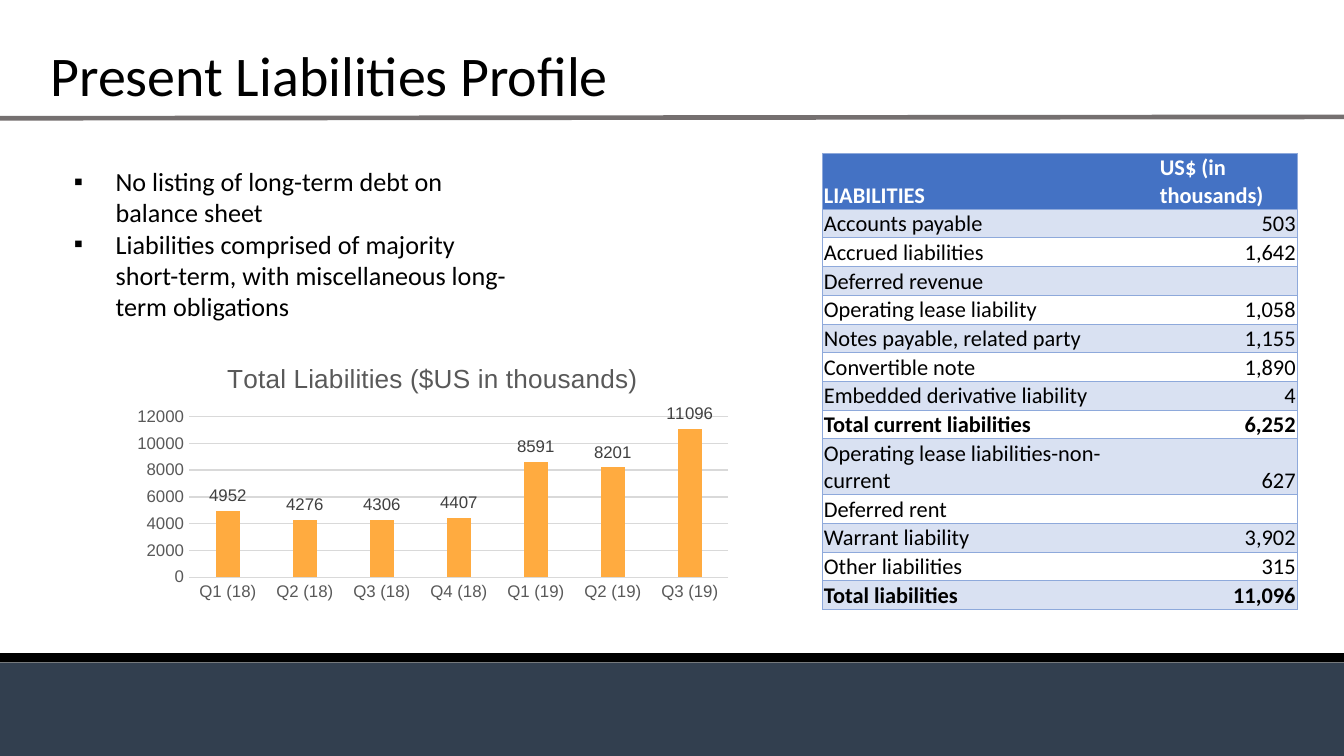
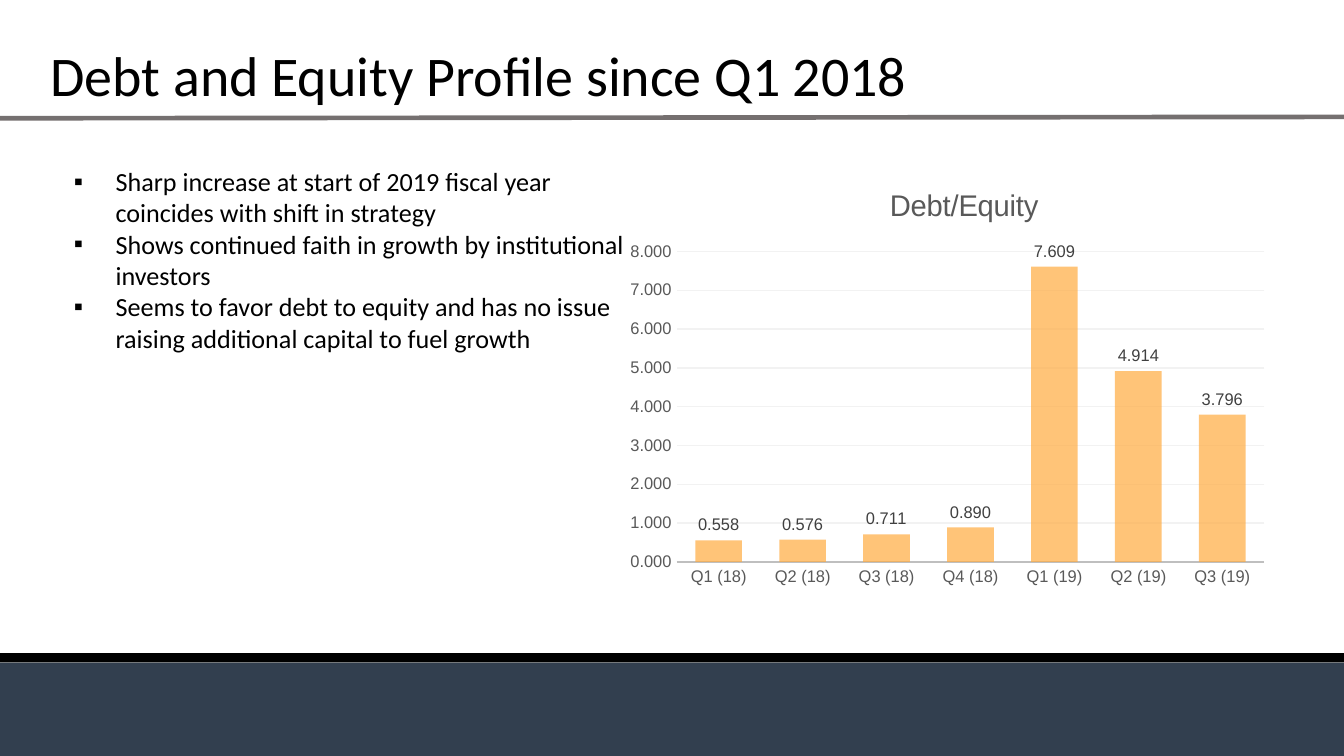
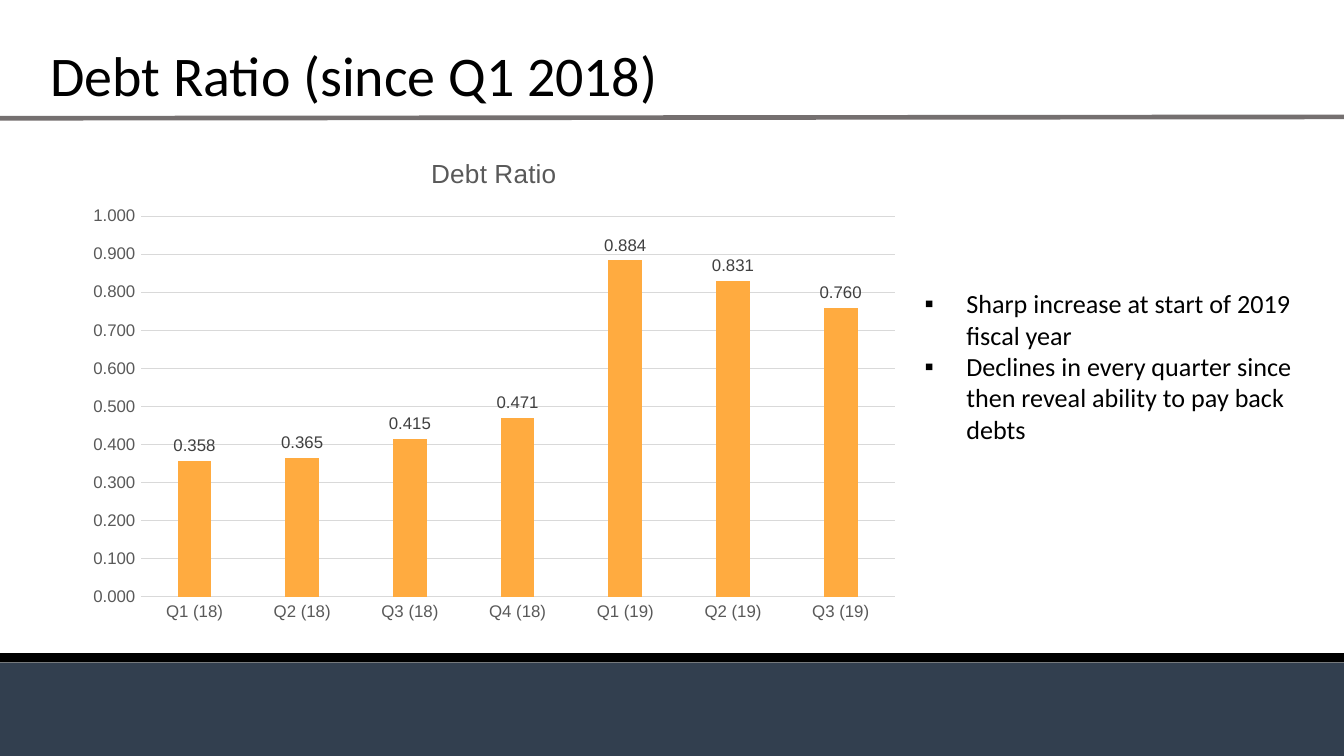
"""Build three slides on liabilities, debt to equity and debt ratio."""
from dataclasses import dataclass

from lxml.etree import SubElement
from pptx import Presentation
from pptx.chart.data import CategoryChartData
from pptx.dml.color import RGBColor
from pptx.enum.chart import XL_CHART_TYPE, XL_LABEL_POSITION, XL_TICK_MARK
from pptx.enum.shapes import MSO_CONNECTOR, MSO_SHAPE
from pptx.enum.text import MSO_ANCHOR, MSO_AUTO_SIZE, PP_ALIGN
from pptx.oxml.ns import qn
from pptx.util import Inches, Pt

COLUMN_CHART = XL_CHART_TYPE.COLUMN_CLUSTERED
OUTSIDE_END = XL_LABEL_POSITION.OUTSIDE_END
NO_TICK = XL_TICK_MARK.NONE
STRAIGHT = MSO_CONNECTOR.STRAIGHT
RECTANGLE = MSO_SHAPE.RECTANGLE
TOP, BOTTOM = MSO_ANCHOR.TOP, MSO_ANCHOR.BOTTOM
NO_FIT = MSO_AUTO_SIZE.NONE
LEFT, RIGHT = PP_ALIGN.LEFT, PP_ALIGN.RIGHT


@dataclass(frozen=True)
class Theme:
    text_font: str = "Calibri"
    chart_font: str = "Arial"
    ink: str = "000000"
    white: str = "FFFFFF"
    footer: str = "323F4F"
    rule: str = "757070"
    bar: str = "FFAB40"
    axis_text: str = "595959"
    label_text: str = "404040"
    table_head: str = "4472C4"
    table_band: str = "D9E1F2"
    table_border: str = "8EA9DB"
    title_size: float = 30
    list_size: float = 14
    table_size: float = 12
    axis_size: float = 9


THEME = Theme()
COLUMNS = 100
SLIDE_WIDTH, SLIDE_HEIGHT = Inches(10), Inches(5.625)
UNIT = SLIDE_WIDTH / COLUMNS


def grid(*cells):
    """Turn counts of grid cells into lengths."""
    return [round(cell * UNIT) for cell in cells]


def style(font, name, size, color, bold=False):
    """Set the face, size, colour and weight of a font."""
    font.name, font.size, font.bold = name, Pt(size), bold
    font.color.rgb = RGBColor.from_string(color)


QUARTERS = [f"Q{quarter} ({year})" for year, last in ((18, 4), (19, 3))
            for quarter in range(1, last + 1)]
BANDS = [((0, 49.3, 100, 6.95), THEME.footer), ((0, 48.6, 100, 0.7), THEME.ink)]
SLIDES = [
    dict(title="Present Liabilities Profile",
         points=["No listing of long-term debt on balance sheet",
                 "Liabilities comprised of majority short-term, with miscellaneous "
                 "long-term obligations"],
         points_at=(4.5, 11.8, 34.3, 12.8),
         chart_title="Total Liabilities ($US in thousands)", series="Series 1",
         values=[4952, 4276, 4306, 4407, 8591, 8201, 11096],
         chart_at=(9.3, 25.6, 45.8, 19.6), title_size=14, number_format="General",
         top=12000, step=2000, gap=219, overlap=-27, opacity=100,
         axis_line="D9D9D9", axis_width=0.75, grid_line="D9D9D9", plot=None),
    dict(title="Debt and Equity Profile since Q1 2018",
         points=["Sharp increase at start of 2019 fiscal year coincides with shift in strategy",
                 "Shows continued faith in growth by institutional investors",
                 "Seems to favor debt to equity and has no issue raising additional "
                 "capital to fuel growth"],
         points_at=(4.5, 11.8, 43.1, 24.6),
         chart_title="Debt/Equity", series="Debt/Equity",
         values=[0.558, 0.576, 0.711, 0.89, 7.609, 4.914, 3.796],
         chart_at=(46.9, 12.3, 48.6, 32.1), title_size=16, number_format="0.000",
         top=8, step=1, gap=80, overlap=25, opacity=70,
         axis_line="BFBFBF", axis_width=1.25, grid_line="F2F2F2",
         plot=dict(x=0.05, y=0.2, w=0.92, h=0.72)),
    dict(title="Debt Ratio (since Q1 2018)",
         points=["Sharp increase at start of 2019 fiscal year",
                 "Declines in every quarter since then reveal ability to pay back debts"],
         points_at=(67.8, 20.9, 33, 12.8),
         chart_title="Debt Ratio", series="Debt Ratio",
         values=[0.358, 0.365, 0.415, 0.471, 0.884, 0.831, 0.76],
         chart_at=(5.7, 10, 62.1, 37), title_size=14, number_format="0.000",
         top=1, step=0.1, gap=219, overlap=-27, opacity=100,
         axis_line="D9D9D9", axis_width=0.75, grid_line="D9D9D9", plot=None),
]
LIABILITIES = [
    ("LIABILITIES", "US$ (in thousands)"),
    ("Accounts payable", "503"),
    ("Accrued liabilities", "1,642"),
    ("Deferred revenue", ""),
    ("Operating lease liability", "1,058"),
    ("Notes payable, related party", "1,155"),
    ("Convertible note", "1,890"),
    ("Embedded derivative liability", "4"),
    ("Total current liabilities", "6,252"),
    ("Operating lease liabilities-non-current", "627"),
    ("Deferred rent", ""),
    ("Warrant liability", "3,902"),
    ("Other liabilities", "315"),
    ("Total liabilities", "11,096"),
]
TWO_LINE_ROWS = (0, 9)

deck = Presentation()
deck.slide_width, deck.slide_height = SLIDE_WIDTH, SLIDE_HEIGHT

for content in SLIDES:
    slide = deck.slides.add_slide(deck.slide_layouts[1])
    for place, color in BANDS:
        band = slide.shapes.add_shape(RECTANGLE, *grid(*place))
        band.shadow.inherit = False
        band.fill.solid()
        band.fill.fore_color.rgb = RGBColor.from_string(color)
        band.line.fill.background()

    heading = slide.shapes.title
    heading.left, heading.top, heading.width, heading.height = grid(3, 0, 97, 8.5)
    frame = heading.text_frame
    frame.text = content["title"]
    frame.auto_size, frame.vertical_anchor = NO_FIT, BOTTOM
    frame.margin_left, frame.margin_top, frame.margin_right, frame.margin_bottom = grid(
        0.75, 0.38, 0.75, 0.38)
    line = frame.paragraphs[0]
    line.alignment, line.line_spacing = LEFT, 0.9
    style(line.font, THEME.text_font, THEME.title_size, THEME.ink)

    rule = slide.shapes.add_connector(STRAIGHT, *grid(0, 8.8, 100, 8.7))
    rule.line.color.rgb = RGBColor.from_string(THEME.rule)
    rule.line.width = Pt(2.5)
    SubElement(rule._element.spPr, qn("a:effectLst"))

    findings = slide.placeholders[1]
    findings.left, findings.top, findings.width, findings.height = grid(*content["points_at"])
    frame = findings.text_frame
    frame.text = "\n".join(content["points"])
    frame.auto_size, frame.vertical_anchor = NO_FIT, TOP
    for point in frame.paragraphs:
        point.alignment, point.space_before = LEFT, Pt(0)
        properties = point._p.get_or_add_pPr()
        indent = Inches(0.31)
        properties.set("marL", str(indent))
        properties.set("indent", str(-indent))
        bullet_color = SubElement(properties, qn("a:buClr"))
        SubElement(bullet_color, qn("a:srgbClr"), val=THEME.ink)
        SubElement(properties, qn("a:buFont"), typeface=THEME.chart_font)
        SubElement(properties, qn("a:buChar"), char="▪")
        style(point.font, THEME.text_font, THEME.list_size, THEME.ink)

    data = CategoryChartData(number_format=content["number_format"])
    data.categories = QUARTERS
    data.add_series(content["series"], content["values"])
    chart = slide.shapes.add_chart(COLUMN_CHART, *grid(*content["chart_at"]), data).chart
    style(chart.font, THEME.chart_font, 10, THEME.ink)
    chart.has_legend = False
    chart.has_title = True
    chart.chart_title.include_in_layout = False
    caption = chart.chart_title.text_frame
    caption.text = content["chart_title"]
    style(caption.paragraphs[0].font, THEME.chart_font, content["title_size"], THEME.axis_text)

    quarters, amounts = chart.category_axis, chart.value_axis
    for axis in (quarters, amounts):
        axis.major_tick_mark = axis.minor_tick_mark = NO_TICK
        style(axis.tick_labels.font, THEME.chart_font, THEME.axis_size, THEME.axis_text)
    quarters.format.line.color.rgb = RGBColor.from_string(content["axis_line"])
    quarters.format.line.width = Pt(content["axis_width"])
    amounts.format.line.fill.background()
    amounts.minimum_scale, amounts.maximum_scale = 0, content["top"]
    amounts.major_unit = content["step"]
    amounts.tick_labels.number_format = content["number_format"]
    amounts.tick_labels.number_format_is_linked = False
    grid_line = amounts.major_gridlines.format.line
    grid_line.color.rgb = RGBColor.from_string(content["grid_line"])
    grid_line.width = Pt(0.75)

    plot = chart.plots[0]
    plot.vary_by_categories = False
    plot.gap_width, plot.overlap = content["gap"], content["overlap"]
    bars = plot.series[0]
    bars.format.fill.solid()
    bars.format.fill.fore_color.rgb = RGBColor.from_string(THEME.bar)
    if content["opacity"] < 100:
        bar_color = bars._element.find(".//" + qn("a:srgbClr"))
        SubElement(bar_color, qn("a:alpha"), val=str(content["opacity"] * 1000))
    labels = bars.data_labels
    labels.show_value, labels.position = True, OUTSIDE_END
    labels.number_format, labels.number_format_is_linked = content["number_format"], False
    style(labels.font, THEME.chart_font, THEME.axis_size, THEME.label_text)
    if content["plot"]:
        plot_area = chart._chartSpace.chart.plotArea
        layout = SubElement(plot_area, qn("c:layout"))
        plot_area.insert(0, layout)
        manual = SubElement(layout, qn("c:manualLayout"))
        SubElement(manual, qn("c:layoutTarget"), val="inner")
        for side in "xy":
            SubElement(manual, qn(f"c:{side}Mode"), val="edge")
        for side, share in content["plot"].items():
            SubElement(manual, qn(f"c:{side}"), val=str(share))

table = deck.slides[0].shapes.add_table(
    len(LIABILITIES), 2, *grid(61.2, 11.4, 35.3, 33.5)).table
table.columns[0].width, table.columns[1].width = grid(25, 10.3)
for row, entries in enumerate(LIABILITIES):
    table.rows[row].height = Inches(0.41 if row in TWO_LINE_ROWS else 0.21)
    is_head = row == 0
    for column, entry in enumerate(entries):
        cell = table.cell(row, column)
        cell.text = entry
        cell.vertical_anchor = BOTTOM
        cell.margin_left = cell.margin_top = cell.margin_right = Inches(0.01)
        cell.margin_bottom = 0
        amount = cell.text_frame.paragraphs[0]
        amount.alignment = RIGHT if column and not is_head else LEFT
        style(amount.font, THEME.text_font, THEME.table_size,
              THEME.white if is_head else THEME.ink,
              bold=is_head or entries[0].startswith("Total"))
        if not entry:
            SubElement(amount._p, qn("a:endParaRPr"), sz=str(THEME.table_size * 100))
        borders = cell._tc.get_or_add_tcPr()
        inner_side = "L" if column else "R"
        for side in "LRTB":
            border = SubElement(borders, qn(f"a:ln{side}"), w=str(Pt(0.5)))
            if side == inner_side:
                SubElement(border, qn("a:noFill"))
            else:
                paint = SubElement(border, qn("a:solidFill"))
                SubElement(paint, qn("a:srgbClr"), val=THEME.table_border)
        if is_head or row % 2:
            cell.fill.solid()
            cell.fill.fore_color.rgb = RGBColor.from_string(
                THEME.table_head if is_head else THEME.table_band)
        else:
            cell.fill.background()

deck.save("out.pptx")
